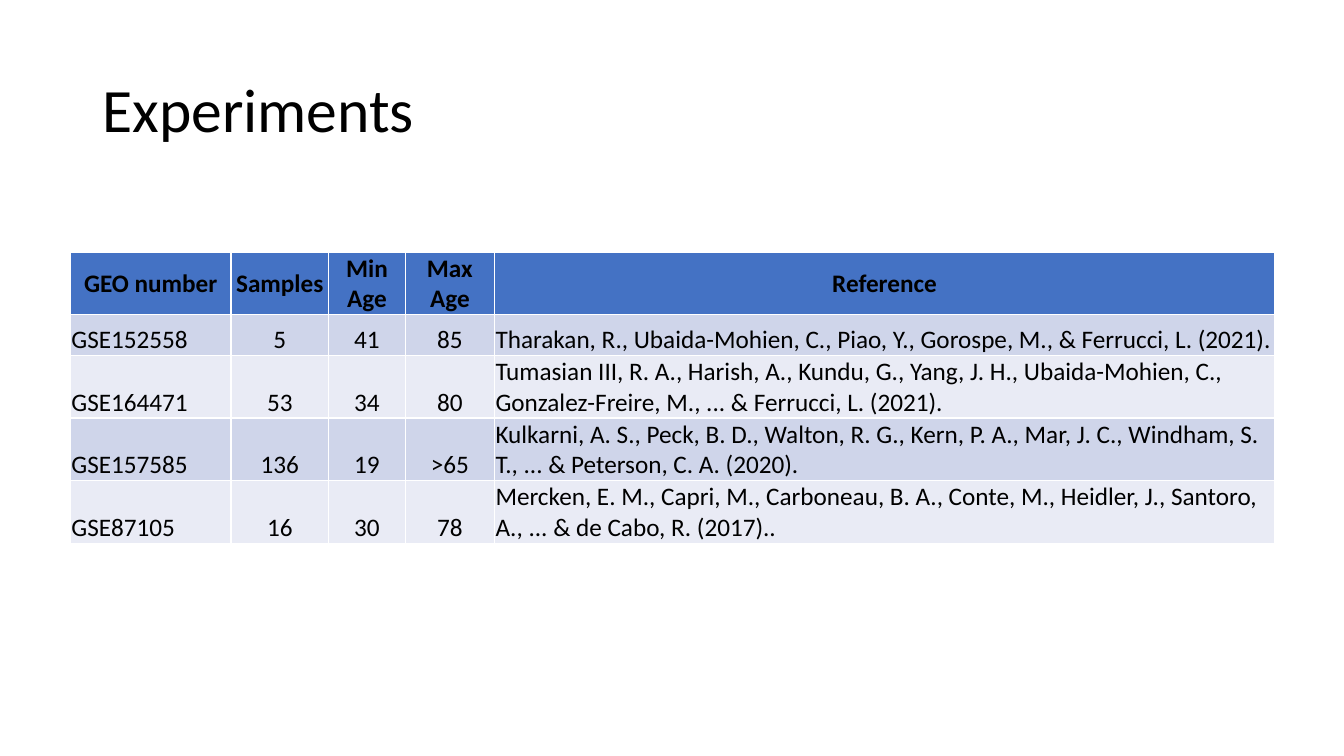
from pptx import Presentation
from pptx.dml.color import RGBColor
from pptx.enum.text import MSO_ANCHOR, PP_ALIGN
from pptx.util import Pt

LEFT, CENTER = PP_ALIGN.LEFT, PP_ALIGN.CENTER
MIDDLE, BOTTOM = MSO_ANCHOR.MIDDLE, MSO_ANCHOR.BOTTOM
EMU_PER_PX = 9525
TITLE_ONLY = 5

COLORS = {
    "text": "000000",
    "header": "4472C4",
    "odd_row": "CFD5EA",
    "even_row": "E9EBF5",
}

COLUMN_WIDTHS = [153, 93, 73, 85, 743]
COLUMN_ALIGNS = [LEFT, CENTER, CENTER, CENTER, LEFT]
ROW_HEIGHTS = [59, 39, 59, 59, 59]
EXPERIMENTS = [
    ["GEO number", "Samples", "Min Age", "Max Age", "Reference"],
    ["GSE152558", "5", "41", "85",
     "Tharakan, R., Ubaida-Mohien, C., Piao, Y., Gorospe, M., & Ferrucci, L. (2021)."],
    ["GSE164471", "53", "34", "80",
     "Tumasian III, R. A., Harish, A., Kundu, G., Yang, J. H., Ubaida-Mohien, C., "
     "Gonzalez-Freire, M., ... & Ferrucci, L. (2021)."],
    ["GSE157585", "136", "19", ">65",
     "Kulkarni, A. S., Peck, B. D., Walton, R. G., Kern, P. A., Mar, J. C., Windham, S. T., "
     "... & Peterson, C. A. (2020)."],
    ["GSE87105", "16", "30", "78",
     "Mercken, E. M., Capri, M., Carboneau, B. A., Conte, M., Heidler, J., Santoro, A., "
     "... & de Cabo, R. (2017).."],
]


def px(length):
    return length * EMU_PER_PX


def rgb(name):
    return RGBColor.from_string(COLORS[name])


class SlideBuilder:
    font_name = "Calibri"

    def __init__(self, slide):
        self.slide = slide

    def style(self, paragraph, size, align, bold=False):
        paragraph.alignment = align
        font = paragraph.font
        font.name, font.size, font.bold = self.font_name, Pt(size), bold
        font.color.rgb = rgb("text")

    def title(self, text, left, top, width, height):
        heading = self.slide.shapes.title
        heading.left, heading.top = px(left), px(top)
        heading.width, heading.height = px(width), px(height)
        frame = heading.text_frame
        frame.text = text
        frame.vertical_anchor = MIDDLE
        frame.paragraphs[0].line_spacing = 0.9
        self.style(frame.paragraphs[0], 44, LEFT)

    def table(self, rows, left, top, widths, heights, aligns):
        """Banded table whose white borders come from the default table style."""
        table = self.slide.shapes.add_table(
            len(rows), len(widths), px(left), px(top),
            px(sum(widths)), px(sum(heights))).table
        for column, width in zip(table.columns, widths):
            column.width = px(width)
        for index, (row, height) in enumerate(zip(table.rows, heights)):
            row.height = px(height)
            is_header = index == 0
            band = "header" if is_header else "odd_row" if index % 2 else "even_row"
            for cell, text, align in zip(row.cells, rows[index], aligns):
                self.cell(cell, text, CENTER if is_header else align, band, is_header)

    def cell(self, cell, text, align, band, is_header):
        cell.text = text
        cell.margin_left = cell.margin_right = cell.margin_top = px(1)
        cell.margin_bottom = 0
        cell.vertical_anchor = MIDDLE if is_header else BOTTOM
        cell.fill.solid()
        cell.fill.fore_color.rgb = rgb(band)
        self.style(cell.text_frame.paragraphs[0], 18, align, is_header)


def main():
    deck = Presentation()
    deck.slide_width, deck.slide_height = px(1280), px(720)
    builder = SlideBuilder(deck.slides.add_slide(deck.slide_layouts[TITLE_ONLY]))
    builder.title("Experiments", 88, 38, 1104, 139)
    builder.table(EXPERIMENTS, 67, 240, COLUMN_WIDTHS, ROW_HEIGHTS, COLUMN_ALIGNS)
    deck.save("out.pptx")


if __name__ == "__main__":
    main()
